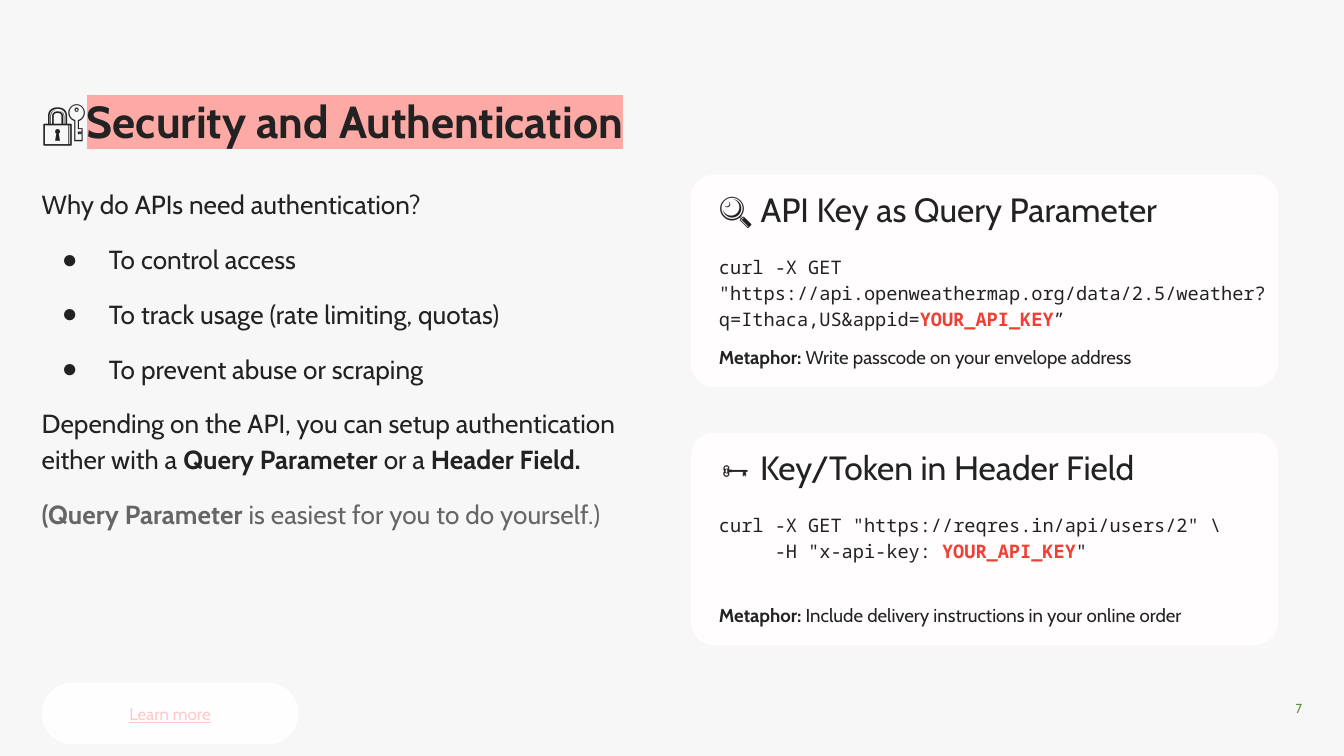
"""Build the Security and Authentication slide with two API key cards."""
from lxml.etree import SubElement
from pptx import Presentation
from pptx.dml.color import RGBColor
from pptx.enum.shapes import MSO_SHAPE
from pptx.enum.text import MSO_ANCHOR, MSO_AUTO_SIZE, PP_ALIGN
from pptx.oxml.ns import qn
from pptx.util import Inches, Pt

COLORS = {
    "background": "F7F7F7", "card": "FFFDFD", "button": "FEFEFE",
    "text": "222222", "muted": "666666", "key": "EF4035",
    "highlight": "FDAAA6", "link": "FFC9C9", "number": "578E32",
}
BOLD = {"bold": True}
KEY = ("YOUR_API_KEY", {"bold": True, "color": "key"})
MONO = "Noto Sans Mono"


def write(shape, paragraphs, size, margins=(0, 0, 0, 0), font="Cabin", spacing=1.15,
          before=0, align=PP_ALIGN.LEFT, anchor=MSO_ANCHOR.TOP):
    frame = shape.text_frame
    sides = ("margin_left", "margin_top", "margin_right", "margin_bottom")
    settings = dict(zip(sides, map(Inches, margins)))
    settings.update(word_wrap=True, auto_size=MSO_AUTO_SIZE.NONE, vertical_anchor=anchor)
    for name, value in settings.items():
        setattr(frame, name, value)
    for index, (bullet, runs) in enumerate(paragraphs):
        paragraph = frame.add_paragraph() if index else frame.paragraphs[0]
        properties = paragraph._p.get_or_add_pPr()
        properties.set("marL", str(Inches(0.5 if bullet else 0)))
        properties.set("indent", str(Inches(-0.35 if bullet else 0)))
        if bullet:
            color = SubElement(properties, qn("a:buClr"))
            SubElement(color, qn("a:srgbClr"), val=COLORS["text"])
            SubElement(properties, qn("a:buChar"), char=bullet)
        else:
            SubElement(properties, qn("a:buNone"))
        layout = {"alignment": align, "line_spacing": spacing,
                  "space_before": Pt(before if index else 0), "space_after": Pt(0)}
        for name, value in layout.items():
            setattr(paragraph, name, value)
        for text, style in runs:
            run = paragraph.add_run()
            run.text = text
            values = {"name": font, "size": Pt(size), "bold": style.get("bold", False),
                      "underline": style.get("underline", False)}
            for name, value in values.items():
                setattr(run.font, name, value)
            run.font.color.rgb = RGBColor.from_string(COLORS[style.get("color", "text")])
            if "highlight" in style:
                fill = run._r.rPr.find(qn("a:solidFill"))
                highlight = SubElement(run._r.rPr, qn("a:highlight"))
                SubElement(highlight, qn("a:srgbClr"), val=COLORS[style["highlight"]])
                fill.addnext(highlight)


def add_panel(box, color, radius):
    panel = slide.shapes.add_shape(MSO_SHAPE.ROUNDED_RECTANGLE, *map(Inches, box))
    panel.adjustments[0] = radius
    panel.shadow.inherit = False
    panel.fill.solid()
    panel.fill.fore_color.rgb = RGBColor.from_string(COLORS[color])
    panel.line.fill.background()
    return panel


presentation = Presentation()
presentation.slide_width = Inches(10)
presentation.slide_height = Inches(10) * 9 // 16
slide = presentation.slides.add_slide(presentation.slide_layouts[1])
slide.background.fill.solid()
slide.background.fill.fore_color.rgb = RGBColor.from_string(COLORS["background"])

title, body = slide.shapes.title, slide.placeholders[1]
for placeholder, box in ((title, (0.31, 0.74, 4.93, 0.5)), (body, (0.31, 1.37, 4.61, 0.92))):
    placeholder.left, placeholder.top, placeholder.width, placeholder.height = map(Inches, box)

write(title, [("", [("🔐", BOLD),
                    ("Security and Authentication", {"bold": True, "highlight": "highlight"})])],
      24, spacing=0.9)

reasons = ["To control access", "To track usage (rate limiting, quotas)",
           "To prevent abuse or scraping"]
write(body, [
    ("", [("Why do APIs need authentication?", {})]),
    *[("●", [(reason, {})]) for reason in reasons],
    ("", [("Depending on the API, you can setup authentication either with a ", {}),
          ("Query Parameter ", BOLD), ("or a ", {}), ("Header Field.", BOLD)]),
    ("", [("(Query Parameter ", {"bold": True, "color": "muted"}),
          ("is easiest for you to do yourself.)", {"color": "muted"})]),
], 14, before=10)

cards = [
    ("🔍 API Key as Query Parameter",
     [("", [('curl -X GET "https://api.openweathermap.org/data/2.5/weather?q=Ithaca,US&appid=', {}),
            KEY, ("”", {})])],
     "Write passcode on your envelope address"),
    ("🗝️ Key/Token in Header Field",
     [("", [('curl -X GET "https://reqres.in/api/users/2" \\', {})]),
      ("", [('     -H "x-api-key: ', {}), KEY, ('"', {})])],
     "Include delivery instructions in your online order"),
]
for index, (heading, code, metaphor) in enumerate(cards):
    top = 1.3 + 1.92 * index
    add_panel((5.14, top, 4.37, 1.58), "card", 0.11)
    parts = [
        (-0.05, 4.37, 0.6, [("", [(heading, {})])],
         {"size": 18, "spacing": 0.85, "margins": (0.2, 0.2, 0.2, 0)}),
        (0.58, 4.47, 0.64, code,
         {"size": 10, "font": MONO, "margins": (0.2, 0, 0.2, 0.2)}),
        (1.25, 4.37, 0.28, [("", [("Metaphor: ", BOLD), (metaphor, {})])],
         {"size": 10, "margins": (0.2, 0, 0.2, 0.2)}),
    ]
    for offset, width, height, paragraphs, style in parts:
        text_box = slide.shapes.add_textbox(
            Inches(5.15), Inches(top + offset), Inches(width), Inches(height))
        write(text_box, paragraphs, **style)

button = add_panel((0.31, 5.08, 1.91, 0.46), "button", 0.5)
write(button, [("", [("Learn more", {"color": "link", "underline": True})])], 9,
      margins=(0.1, 0.1, 0.1, 0.1), spacing=1.0, align=PP_ALIGN.CENTER, anchor=MSO_ANCHOR.MIDDLE)

page_number = slide.shapes.add_textbox(Inches(9.36), Inches(5.11), Inches(0.33), Inches(0.22))
write(page_number, [("", [("7", {"color": "number"})])], 7,
      spacing=1.0, align=PP_ALIGN.RIGHT, anchor=MSO_ANCHOR.BOTTOM)

presentation.save("out.pptx")
